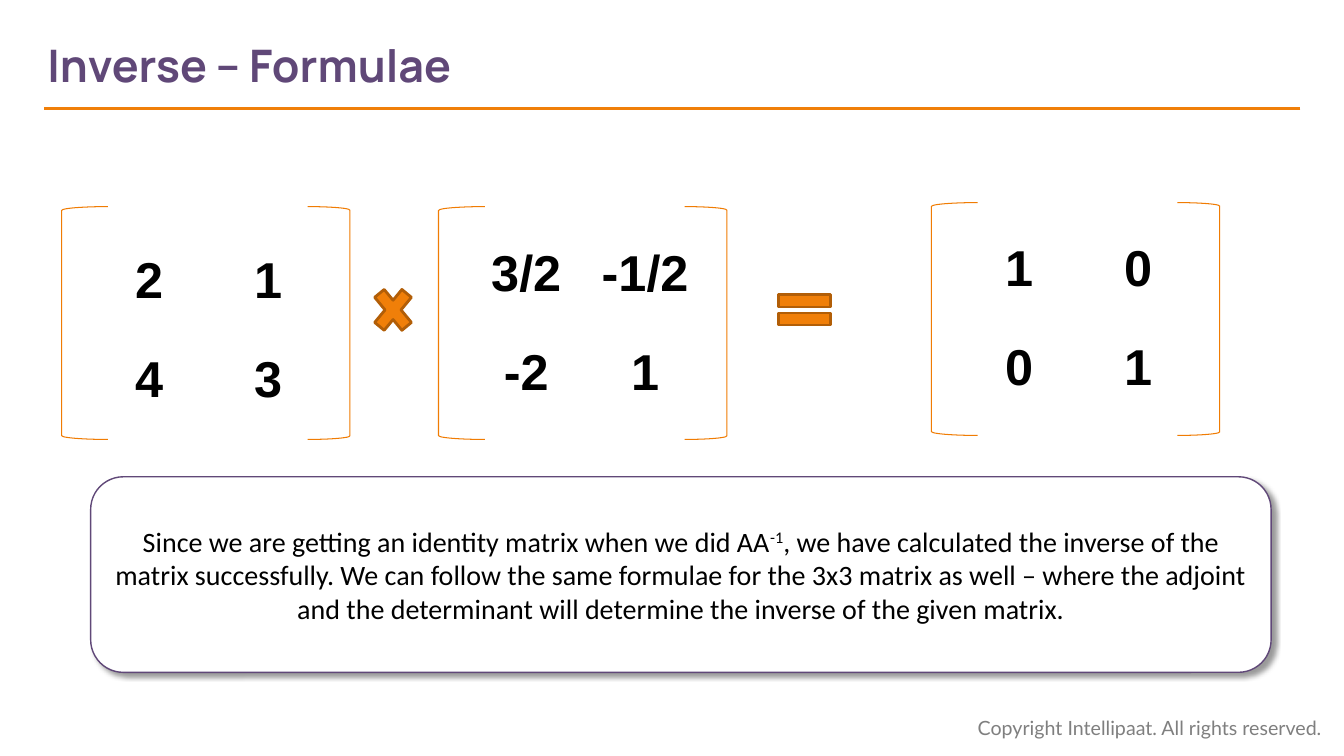
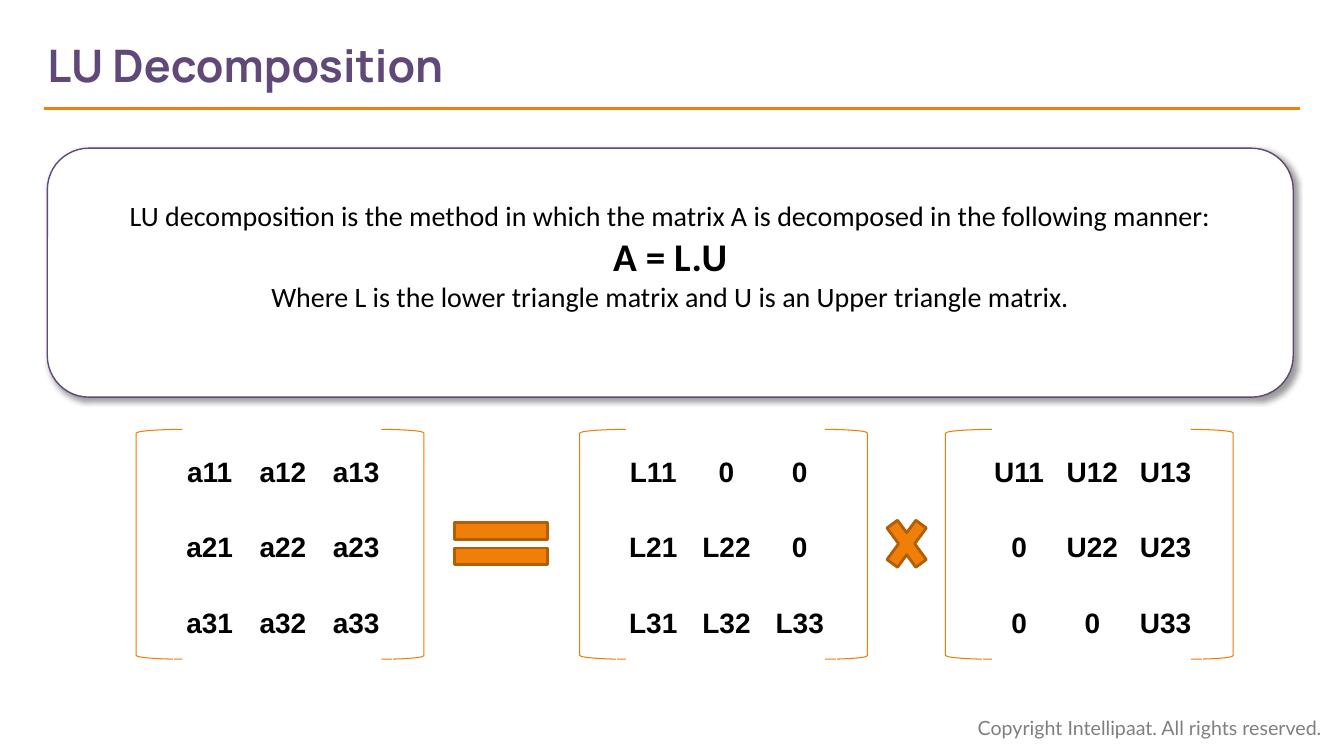
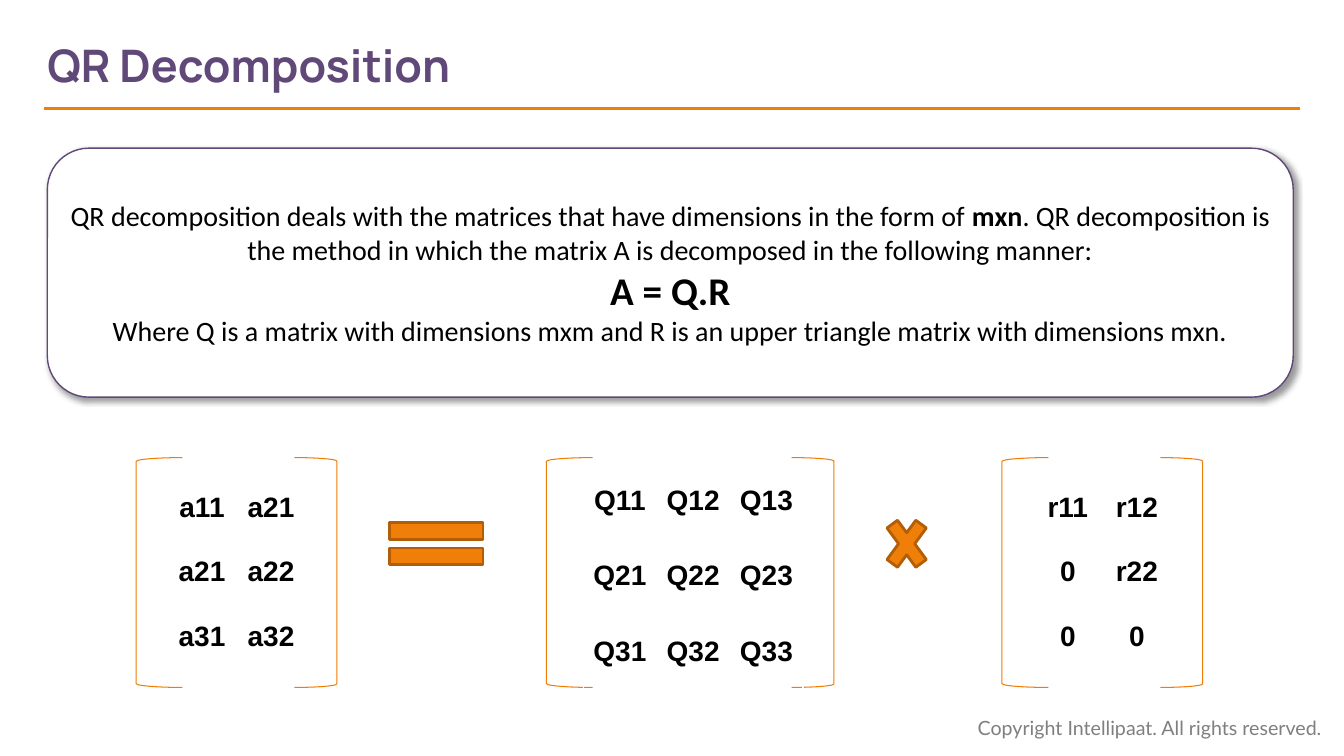
from dataclasses import dataclass

from lxml.etree import SubElement
from pptx import Presentation
from pptx.dml.color import RGBColor
from pptx.enum.shapes import MSO_CONNECTOR, MSO_SHAPE
from pptx.enum.text import MSO_ANCHOR, MSO_AUTO_SIZE, PP_ALIGN
from pptx.oxml.ns import qn
from pptx.presentation import Presentation as Deck
from pptx.shapes.autoshape import Shape
from pptx.slide import Slide
from pptx.text.text import TextFrame, _Paragraph as Paragraph
from pptx.util import Emu, Inches, Pt

SLIDE_WIDTH = Inches(13.33)
SLIDE_HEIGHT = Inches(7.5)
TITLE_ONLY = 5


@dataclass(frozen=True)
class Theme:
    purple: RGBColor = RGBColor.from_string("604878")
    orange: RGBColor = RGBColor.from_string("F07F09")
    bracket: RGBColor = RGBColor.from_string("F07C03")
    rust: RGBColor = RGBColor.from_string("B25E07")
    grey: RGBColor = RGBColor.from_string("7F7F7F")
    black: RGBColor = RGBColor.from_string("000000")
    white: RGBColor = RGBColor.from_string("FFFFFF")
    title_font: str = "Manrope"
    body_font: str = "Calibri"
    matrix_font: str = "Arial"
    footer_font: str = "Lato"
    title_size: int = 32
    body_size: int = 20
    formula_size: int = 28
    footer_size: int = 14


THEME = Theme()


@dataclass(frozen=True)
class Box:
    """Left, top, width and height in percent of the slide."""

    left: float
    top: float
    width: float
    height: float

    def lengths(self) -> tuple[Emu, Emu, Emu, Emu]:
        return across(self.left), down(self.top), across(self.width), down(self.height)


@dataclass(frozen=True)
class Span:
    text: str
    size: int = THEME.body_size
    bold: bool = False
    raised: bool = False


@dataclass(frozen=True)
class Card:
    box: Box
    paragraphs: list[list[Span]]
    bottom_inset: float = 0.05


@dataclass(frozen=True)
class MatrixStyle:
    """Bracket and cell measures in percent of the slide, type size in points."""

    width: float
    height: float
    cell_width: float
    cell_height: float
    inset_left: float
    type_size: int


@dataclass(frozen=True)
class Matrix:
    style: MatrixStyle
    left: float
    top: float
    inset_top: float
    rows: list[str]


@dataclass(frozen=True)
class Operator:
    kind: MSO_SHAPE
    box: Box


@dataclass(frozen=True)
class Page:
    title: str
    card: Card
    matrices: list[Matrix]
    operators: list[Operator]


TITLE_BOX = Box(3.52, 2.93, 71, 11.2)
FOOTER_BOX = Box(72, 94, 27.53, 4.53)
FOOTER_TEXT = "Copyright Intellipaat. All rights reserved."
RULE_LEFT, RULE_RIGHT, RULE_TOP = 3.3, 96.75, 14.4
WIDE_CARD = Box(3.52, 19.6, 92.7, 32.93)
LEFT_BRACKET_WIDTH, RIGHT_BRACKET_WIDTH = 3.45, 3.15

LARGE = MatrixStyle(21.45, 30.8, 8.85, 13.07, 2.1, 36)
SQUARE = MatrixStyle(21.4, 30.4, 5.45, 10, 2.75, 20)
TALL = MatrixStyle(14.93, 30.4, 5.14, 8.5, 2.33, 20)
LU_TOP, QR_TOP = 56.8, 60.53
TIMES = Operator(MSO_SHAPE.MATH_MULTIPLY, Box(65.4, 66.93, 4.13, 10))

PAGES = [
    Page(
        "Inverse – Formulae",
        Card(
            Box(6.75, 63.07, 87.83, 25.87),
            [[
                Span("Since we are getting an identity matrix when we did AA"),
                Span("-1", raised=True),
                Span(
                    ", we have calculated the inverse of the matrix successfully. "
                    "We can follow the same formulae for the 3x3 matrix as well – "
                    "where the adjoint and the determinant will determine the "
                    "inverse of the given matrix."
                ),
            ]],
        ),
        [
            Matrix(LARGE, 4.58, 27.33, 3.34, ["2 1", "4 3"]),
            Matrix(LARGE, 32.63, 27.33, 2.4, ["3/2 -1/2", "-2 1"]),
            Matrix(LARGE, 69.3, 26.8, 2.27, ["1 0", "0 1"]),
        ],
        [
            Operator(MSO_SHAPE.MATH_MULTIPLY, Box(27.3, 36.8, 3.9, 8.4)),
            Operator(MSO_SHAPE.MATH_EQUAL, Box(57.23, 37.6, 5.25, 6.8)),
        ],
    ),
    Page(
        "LU Decomposition",
        Card(
            WIDE_CARD,
            [
                [Span("LU decomposition is the method in which the matrix A is "
                      "decomposed in the following manner:")],
                [Span("A = L.U", THEME.formula_size, bold=True)],
                [Span("Where L is the lower triangle matrix and U is an Upper "
                      "triangle matrix.")],
            ],
            bottom_inset=0.39,
        ),
        [
            Matrix(SQUARE, 10.13, LU_TOP, 0.67, ["a11 a12 a13", "a21 a22 a23", "a31 a32 a33"]),
            Matrix(SQUARE, 43.13, LU_TOP, 0.67, ["L11 0 0", "L21 L22 0", "L31 L32 L33"]),
            Matrix(SQUARE, 70.35, LU_TOP, 0.67, ["U11 U12 U13", "0 U22 U23", "0 0 U33"]),
        ],
        [Operator(MSO_SHAPE.MATH_EQUAL, Box(32.55, 67.2, 9.45, 9.47)), TIMES],
    ),
    Page(
        "QR Decomposition",
        Card(
            WIDE_CARD,
            [
                [
                    Span("QR decomposition deals with the matrices that have "
                         "dimensions in the form of "),
                    Span("mxn", bold=True),
                    Span(". QR decomposition is the method in which the matrix A "
                         "is decomposed in the following manner:"),
                ],
                [Span("A = Q.R", THEME.formula_size, bold=True)],
                [Span("Where Q is a matrix with dimensions mxm and R is an upper "
                      "triangle matrix with dimensions mxn.")],
            ],
        ),
        [
            Matrix(TALL, 10.13, QR_TOP, 2.4, ["a11 a21", "a21 a22", "a31 a32"]),
            Matrix(SQUARE, 40.65, QR_TOP, 0.67, ["Q11 Q12 Q13", "Q21 Q22 Q23", "Q31 Q32 Q33"]),
            Matrix(TALL, 74.55, QR_TOP, 2.4, ["r11 r12", "0 r22", "0 0"]),
        ],
        [Operator(MSO_SHAPE.MATH_EQUAL, Box(27.75, 67.2, 9.45, 9.47)), TIMES],
    ),
]


def across(share: float) -> Emu:
    return Emu(round(SLIDE_WIDTH * share / 100))


def down(share: float) -> Emu:
    return Emu(round(SLIDE_HEIGHT * share / 100))


def add_run(paragraph: Paragraph, span: Span, font_name: str, color: RGBColor) -> None:
    run = paragraph.add_run()
    run.text = span.text
    run.font.name = font_name
    run.font.size = Pt(span.size)
    run.font.bold = span.bold
    run.font.color.rgb = color
    if span.raised:
        run._r.get_or_add_rPr().set("baseline", "30000")


def set_frame(frame: TextFrame, anchor: MSO_ANCHOR, left: float = 0.1, bottom: float = 0.05) -> None:
    frame.word_wrap = True
    frame.auto_size = MSO_AUTO_SIZE.NONE
    frame.vertical_anchor = anchor
    frame.margin_left, frame.margin_right = Inches(left), Inches(0.1)
    frame.margin_top, frame.margin_bottom = Inches(0.05), Inches(bottom)


def outline(shape: Shape, color: RGBColor, width: float) -> None:
    shape.shadow.inherit = False
    shape.line.color.rgb = color
    shape.line.width = Pt(width)


def add_shadow(shape: Shape) -> None:
    effects = shape._element.spPr.find(qn("a:effectLst"))
    shadow = SubElement(
        effects, qn("a:outerShdw"), blurRad=str(Pt(4)), dist=str(Pt(3)),
        dir=str(45 * 60000), algn="tl", rotWithShape="0",
    )
    color = SubElement(shadow, qn("a:srgbClr"), val=str(THEME.black))
    SubElement(color, qn("a:alpha"), val="40000")


def draw_shared(slide: Slide, title_text: str) -> None:
    title = slide.shapes.title
    title.left, title.top, title.width, title.height = TITLE_BOX.lengths()
    set_frame(title.text_frame, MSO_ANCHOR.MIDDLE, left=0)
    paragraph = title.text_frame.paragraphs[0]
    paragraph.alignment = PP_ALIGN.LEFT
    add_run(paragraph, Span(title_text, THEME.title_size, bold=True), THEME.title_font, THEME.purple)

    rule = slide.shapes.add_connector(
        MSO_CONNECTOR.STRAIGHT,
        across(RULE_RIGHT), down(RULE_TOP), across(RULE_LEFT), down(RULE_TOP),
    )
    rule.line.color.rgb = THEME.orange
    rule.line.width = Pt(2.25)
    SubElement(rule._element.spPr, qn("a:effectLst"))

    footer = slide.shapes.add_textbox(*FOOTER_BOX.lengths())
    set_frame(footer.text_frame, MSO_ANCHOR.TOP)
    add_run(footer.text_frame.paragraphs[0], Span(FOOTER_TEXT, THEME.footer_size),
            THEME.footer_font, THEME.grey)


def draw_card(slide: Slide, card: Card) -> None:
    shape = slide.shapes.add_shape(MSO_SHAPE.ROUNDED_RECTANGLE, *card.box.lengths())
    shape.fill.solid()
    shape.fill.fore_color.rgb = THEME.white
    outline(shape, THEME.purple, 1)
    add_shadow(shape)
    frame = shape.text_frame
    set_frame(frame, MSO_ANCHOR.MIDDLE, bottom=card.bottom_inset)
    for index, spans in enumerate(card.paragraphs):
        paragraph = frame.add_paragraph() if index else frame.paragraphs[0]
        paragraph.alignment = PP_ALIGN.CENTER
        for span in spans:
            add_run(paragraph, span, THEME.body_font, THEME.black)


def draw_brackets(slide: Slide, matrix: Matrix) -> None:
    style = matrix.style
    group = slide.shapes.add_group_shape()
    right_edge = matrix.left + style.width
    for kind, left, width in (
        (MSO_SHAPE.LEFT_BRACKET, matrix.left, LEFT_BRACKET_WIDTH),
        (MSO_SHAPE.RIGHT_BRACKET, right_edge - RIGHT_BRACKET_WIDTH, RIGHT_BRACKET_WIDTH),
    ):
        box = Box(left, matrix.top, width, style.height)
        bracket = group.shapes.add_shape(kind, *box.lengths())
        bracket.fill.background()
        outline(bracket, THEME.bracket, 0.75)


def draw_matrix(slide: Slide, matrix: Matrix) -> None:
    draw_brackets(slide, matrix)
    style = matrix.style
    entries = [row.split() for row in matrix.rows]
    row_count, column_count = len(entries), len(entries[0])
    box = Box(matrix.left + style.inset_left, matrix.top + matrix.inset_top,
              column_count * style.cell_width, row_count * style.cell_height)
    table = slide.shapes.add_table(row_count, column_count, *box.lengths()).table
    table.first_row = False
    table.horz_banding = False
    for row_index, row in enumerate(entries):
        for column_index, entry in enumerate(row):
            cell = table.cell(row_index, column_index)
            cell.fill.background()
            cell.vertical_anchor = MSO_ANCHOR.MIDDLE
            paragraph = cell.text_frame.paragraphs[0]
            paragraph.alignment = PP_ALIGN.CENTER
            add_run(paragraph, Span(entry, style.type_size, bold=True),
                    THEME.matrix_font, THEME.black)


def draw_operator(slide: Slide, operator: Operator) -> None:
    shape = slide.shapes.add_shape(operator.kind, *operator.box.lengths())
    shape.fill.solid()
    shape.fill.fore_color.rgb = THEME.orange
    outline(shape, THEME.rust, 2)


def draw_page(presentation: Deck, page: Page) -> None:
    slide = presentation.slides.add_slide(presentation.slide_layouts[TITLE_ONLY])
    draw_shared(slide, page.title)
    draw_card(slide, page.card)
    for matrix in page.matrices:
        draw_matrix(slide, matrix)
    for operator in page.operators:
        draw_operator(slide, operator)


def main() -> None:
    presentation = Presentation()
    presentation.slide_width = SLIDE_WIDTH
    presentation.slide_height = SLIDE_HEIGHT
    for page in PAGES:
        draw_page(presentation, page)
    presentation.save("out.pptx")


if __name__ == "__main__":
    main()
